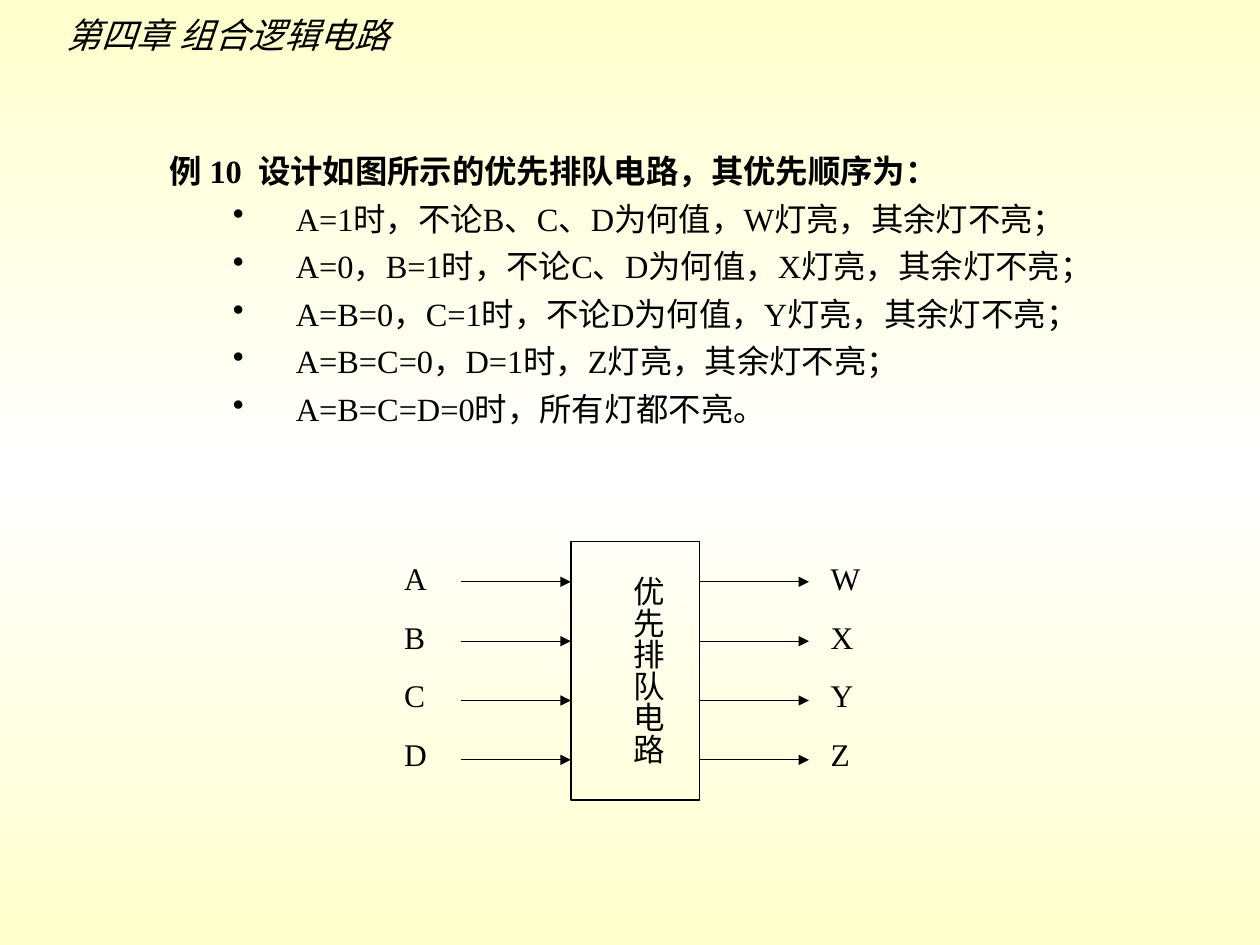
from copy import deepcopy
from dataclasses import dataclass

from pptx import Presentation
from pptx.dml.color import RGBColor
from pptx.enum.shapes import MSO_CONNECTOR as Connector, MSO_SHAPE as Shape
from pptx.oxml.ns import qn
from pptx.oxml.xmlchemy import OxmlElement as Element
from pptx.util import Pt


@dataclass(frozen=True)
class Theme:
    ink: RGBColor = RGBColor(0, 0, 0)
    edge: RGBColor = RGBColor(0xFF, 0xFF, 0xCC)
    middle: RGBColor = RGBColor(0xFF, 0xFF, 0xFF)
    latin: str = "Times New Roman"
    asian: str = "Noto Sans CJK SC"
    title: float = 20
    body: float = 18.5
    label: float = 18
    line: float = 0.75


THEME = Theme()
HEADING = "例 10  设计如图所示的优先排队电路，其优先顺序为："
RULES = [
    "A=1时，不论B、C、D为何值，W灯亮，其余灯不亮；",
    "A=0，B=1时，不论C、D为何值，X灯亮，其余灯不亮；",
    "A=B=0，C=1时，不论D为何值，Y灯亮，其余灯不亮；",
    "A=B=C=0，D=1时，Z灯亮，其余灯不亮；",
    "A=B=C=D=0时，所有灯都不亮。",
]


def paint_background(page):
    fill = page.background.fill
    fill.gradient()
    fill.gradient_angle = 270
    stops = page.element.find(".//" + qn("a:gsLst"))
    stops.insert(1, deepcopy(stops[0]))
    colours = (THEME.edge, THEME.middle, THEME.edge)
    for stop, colour, position in zip(fill.gradient_stops, colours, (0, 0.5, 1)):
        stop.color.rgb = colour
        stop.position = position


def add_box(shapes, left, top, width, height, insets=(7.2, 3.6), wrap=True):
    box = shapes.add_textbox(Pt(left), Pt(top), Pt(width), Pt(height))
    frame = box.text_frame
    frame.word_wrap = wrap
    frame.margin_left = frame.margin_right = Pt(insets[0])
    frame.margin_top = frame.margin_bottom = Pt(insets[1])
    return frame


def add_span(para, text, size, latin=THEME.latin, bold=False, italic=False):
    span = para.add_run()
    span.text = text
    font = span.font
    font.size, font.name = Pt(size), latin
    font.bold, font.italic = bold, italic
    font.color.rgb = THEME.ink
    asian = Element("a:ea")
    asian.set("typeface", THEME.asian)
    font._element.find(qn("a:latin")).addnext(asian)


def set_indent(para, left, first):
    properties = para._p.get_or_add_pPr()
    properties.set("marL", str(Pt(left)))
    properties.set("indent", str(Pt(first)))
    properties.set("hangingPunct", "0")
    return properties


def add_bullet(para):
    bullet = Element("a:buChar")
    bullet.set("char", "•")
    set_indent(para, 108, -36).append(bullet)


def add_statement(page):
    frame = add_box(page.shapes, 54, 82.8, 612, 238.3)
    heading = frame.paragraphs[0]
    set_indent(heading, 77.8, -41.8)
    add_span(heading, HEADING, THEME.body, bold=True)
    for rule in RULES:
        para = frame.add_paragraph()
        para.level = 1
        add_bullet(para)
        para.space_before = Pt(5)
        add_span(para, rule, THEME.body)


def add_arrow(shapes, start, end, y):
    arrow = shapes.add_connector(Connector.STRAIGHT, Pt(start), Pt(y), Pt(end), Pt(y))
    arrow.line.color.rgb = THEME.ink
    arrow.line.width = Pt(THEME.line)
    head = Element("a:tailEnd")
    head.set("type", "triangle")
    arrow.line._get_or_add_ln().append(head)
    arrow._element.spPr.append(Element("a:effectLst"))


def add_block(shapes, left, top, width, height):
    block = shapes.add_shape(Shape.RECTANGLE, Pt(left), Pt(top), Pt(width), Pt(height))
    block.shadow.inherit = False
    block.fill.background()
    block.line.color.rgb = THEME.ink
    block.line.width = Pt(THEME.line)


def add_signals(shapes, left, names):
    para = add_box(shapes, left, 304.3, 33.8, 141.1).paragraphs[0]
    para.line_spacing = Pt(33.4)
    add_span(para, names, THEME.label)


def add_circuit(page):
    shapes = page.shapes.add_group_shape().shapes
    left, right, reach = 326.2, 399.6, 62.7
    add_block(shapes, left, 309.6, right - left, 147.6)
    for start in (right, left - reach):
        for row in range(4):
            add_arrow(shapes, start, start + reach, 332.5 + row * 33.9)
    frame = add_box(shapes, 348.7, 322, 36, 124.6, insets=(3.6, 7.2))
    frame._txBody.bodyPr.set("vert", "eaVert")
    add_span(frame.paragraphs[0], "优先排队电路", THEME.label)
    add_signals(shapes, 223.9, "ABCD")
    add_signals(shapes, 467.6, "WXYZ")


def main():
    deck = Presentation()
    deck.slide_width, deck.slide_height = Pt(720), Pt(540)
    page = deck.slides.add_slide(deck.slide_layouts[6])
    paint_background(page)
    title = add_box(page.shapes, 31, 4, 203.8, 31.7, wrap=False).paragraphs[0]
    add_span(title, "第四章 组合逻辑电路", THEME.title, THEME.asian, italic=True)
    add_statement(page)
    add_circuit(page)
    deck.save("out.pptx")


if __name__ == "__main__":
    main()
